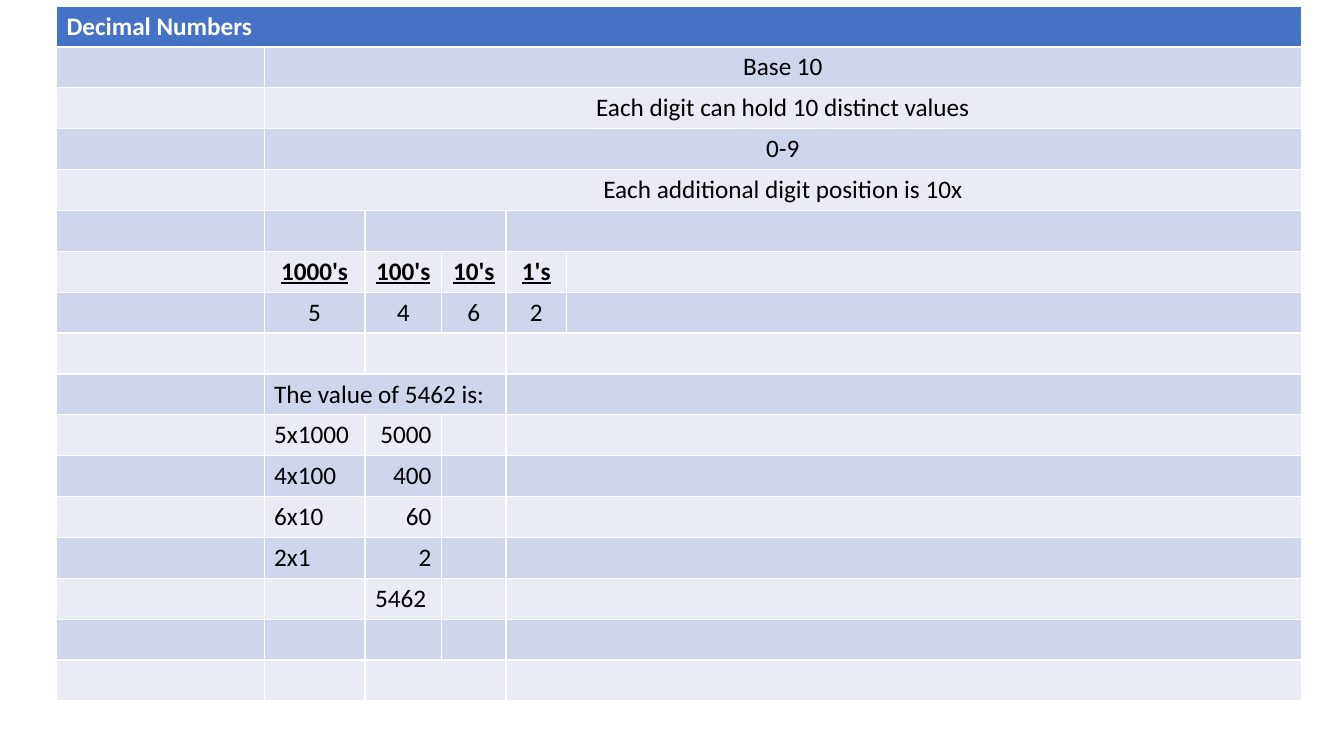
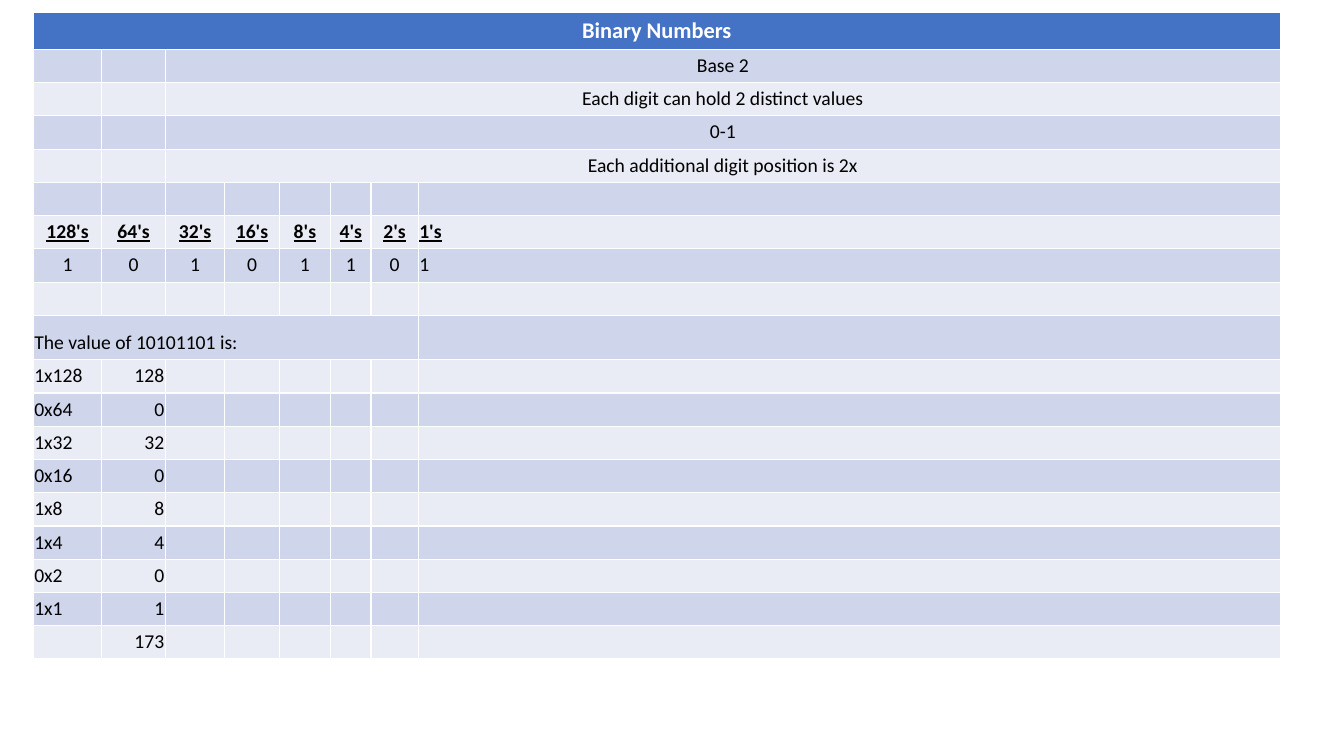
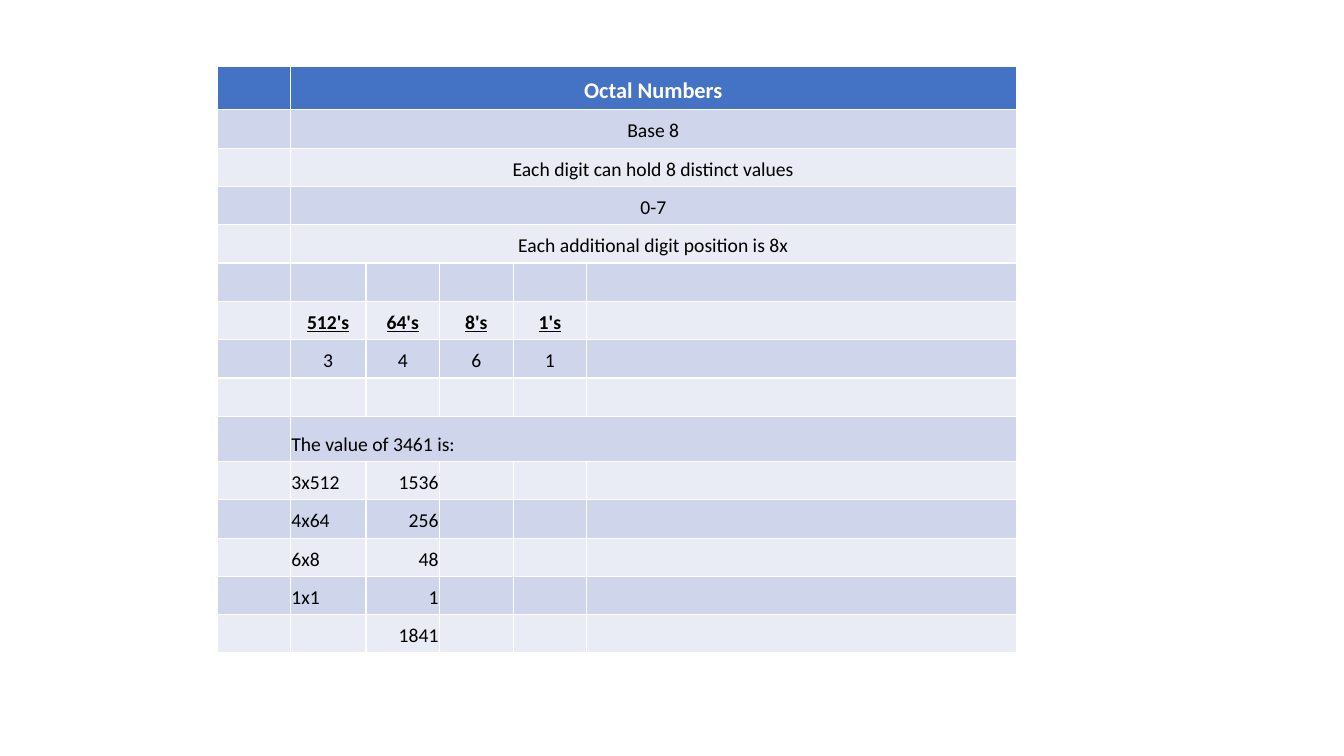
import dataclasses

import pptx
import pptx.dml.color
import pptx.enum.text
import pptx.oxml.ns
import pptx.util
from lxml import etree

Inches = pptx.util.Inches
ALIGN = pptx.enum.text.PP_ALIGN
ANCHOR = pptx.enum.text.MSO_ANCHOR

FACT_ROWS = range(1, 5)
PLACE_ROW, DIGIT_ROW, STATEMENT_ROW, FIRST_PRODUCT_ROW = 6, 7, 9, 10


@dataclasses.dataclass(frozen=True)
class Theme:
    """Colours and font shared by all tables."""
    font: str = "Calibri"
    header: str = "4472C4"
    bands: tuple = ("E9EBF5", "CFD5EA")
    header_text: str = "FFFFFF"
    body_text: str = "000000"


@dataclasses.dataclass(frozen=True)
class CellStyle:
    """Type sizes, insets and anchoring of one table."""
    title_size: int
    body_size: int
    insets: dict
    anchor: ANCHOR


THEME = Theme()
ROOMY = CellStyle(18, 18, {"margin_left": 0.1, "margin_top": 0.05,
                           "margin_right": 0.1, "margin_bottom": 0.05}, ANCHOR.MIDDLE)
TIGHT = CellStyle(16, 14, {"margin_left": 0.01, "margin_top": 0.01,
                           "margin_right": 0.01, "margin_bottom": 0.05}, ANCHOR.BOTTOM)


@dataclasses.dataclass(frozen=True)
class NumberTable:
    """A number system, its example digits and the table layout."""
    title: str
    base: int
    digits: str
    position: tuple
    widths: tuple
    title_height: float
    row_height: float
    statement_height: float
    style: CellStyle
    merges: dict
    title_column: int = 0
    fact_column: int = 1
    digit_column: int = 1
    spare_rows: int = 0
    title_align: ALIGN = ALIGN.CENTER
    total_align: ALIGN = ALIGN.RIGHT

    def row_heights(self):
        """Return the height of every row."""
        count = FIRST_PRODUCT_ROW + len(self.digits) + 1 + self.spare_rows
        special = {0: self.title_height, STATEMENT_ROW: self.statement_height}
        return [special.get(row, self.row_height) for row in range(count)]


def set_attributes(target, values):
    """Set each named attribute on the target."""
    for name, value in values.items():
        setattr(target, name, value)


def format_cell(cell, row, style):
    """Give a cell its band fill, insets, anchor and empty-line size."""
    cell.fill.solid()
    color = THEME.bands[row % 2] if row else THEME.header
    cell.fill.fore_color.rgb = pptx.dml.color.RGBColor.from_string(color)
    set_attributes(cell, {name: Inches(value) for name, value in style.insets.items()})
    cell.vertical_anchor = style.anchor
    size = style.body_size if row else style.title_size
    paragraph = cell.text_frame.paragraphs[0]
    etree.SubElement(paragraph._p, pptx.oxml.ns.qn("a:endParaRPr"), sz=str(size * 100))


def write_cell(table, row, column, text, style, align=ALIGN.LEFT):
    """Write formatted text into one cell."""
    paragraph = table.cell(row, column).text_frame.paragraphs[0]
    paragraph.alignment = align
    run = paragraph.add_run()
    run.text = text
    set_attributes(run.font, {
        "name": THEME.font,
        "size": pptx.util.Pt(style.body_size if row else style.title_size),
        "bold": row in (0, PLACE_ROW),
        "underline": row == PLACE_ROW,
    })
    color = THEME.body_text if row else THEME.header_text
    run.font.color.rgb = pptx.dml.color.RGBColor.from_string(color)


def add_grid(slide, spec):
    """Add the banded, merged table without text."""
    heights = spec.row_heights()
    left, top = spec.position
    frame = slide.shapes.add_table(
        len(heights), len(spec.widths), Inches(left), Inches(top),
        Inches(sum(spec.widths)), Inches(sum(heights)))
    table = frame.table
    for column, width in zip(table.columns, spec.widths):
        column.width = Inches(width)
    for row, height in enumerate(heights):
        table.rows[row].height = Inches(height)
        for cell in table.rows[row].cells:
            format_cell(cell, row, spec.style)
        for first, last in spec.merges.get(row, ()):
            table.cell(row, first).merge(table.cell(row, last))
    return table


def add_number_slide(presentation, spec):
    """Add a slide that explains one number system."""
    slide = presentation.slides.add_slide(presentation.slide_layouts[6])
    table = add_grid(slide, spec)
    style, base, start = spec.style, spec.base, spec.digit_column

    write_cell(table, 0, spec.title_column, spec.title, style, spec.title_align)
    facts = (f"Base {base}", f"Each digit can hold {base} distinct values",
             f"0-{base - 1}", f"Each additional digit position is {base}x")
    for row, fact in zip(FACT_ROWS, facts):
        write_cell(table, row, spec.fact_column, fact, style, ALIGN.CENTER)

    write_cell(table, STATEMENT_ROW, start, f"The value of {spec.digits} is:", style)
    for index, digit in enumerate(spec.digits):
        place = base ** (len(spec.digits) - 1 - index)
        column = start + index
        align = ALIGN.LEFT if column == len(spec.widths) - 1 else ALIGN.CENTER
        write_cell(table, PLACE_ROW, column, f"{place}'s", style, align)
        write_cell(table, DIGIT_ROW, column, digit, style, align)
        row = FIRST_PRODUCT_ROW + index
        write_cell(table, row, start, f"{digit}x{place}", style)
        write_cell(table, row, start + 1, str(int(digit) * place), style, ALIGN.RIGHT)
    total = str(int(spec.digits, base))
    total_row = FIRST_PRODUCT_ROW + len(spec.digits)
    write_cell(table, total_row, start + 1, total, style, spec.total_align)


def row_merges(title, fact, statement):
    """Return the column merges of the title, fact and statement rows."""
    return {0: [title], **{row: [fact] for row in FACT_ROWS}, STATEMENT_ROW: statement}


def main():
    """Build the three number system slides."""
    presentation = pptx.Presentation()
    set_attributes(presentation, {"slide_width": Inches(13.33), "slide_height": Inches(7.5)})

    decimal_merges = {
        **row_merges((0, 5), (1, 5), [(1, 3), (4, 5)]),
        **{row: [(2, 3), (4, 5)] for row in (5, 8, 16)},
        **{row: [(4, 5)] for row in range(FIRST_PRODUCT_ROW, 16)},
    }
    number_tables = (
        NumberTable(
            "Decimal Numbers", 10, "5462", (0.56, 0.06),
            (2.06, 1, 0.76, 0.64, 0.6, 7.29), 0.4, 0.4, 0.4, ROOMY, decimal_merges,
            spare_rows=2, title_align=ALIGN.LEFT, total_align=ALIGN.LEFT),
        NumberTable(
            "Binary Numbers", 2, "10101101", (0.33, 0.12),
            (0.68, 0.63, 0.59, 0.54, 0.51, 0.4, 0.47, 8.55), 0.37, 0.33, 0.44, TIGHT,
            row_merges((0, 7), (2, 7), [(0, 6)]), fact_column=2, digit_column=0),
        NumberTable(
            "Octal Numbers", 8, "3461", (2.16, 0.66),
            (0.72, 0.75, 0.73, 0.73, 0.73, 4.26), 0.43, 0.38, 0.45, TIGHT,
            row_merges((1, 5), (1, 5), [(1, 5)]), title_column=1),
    )
    for spec in number_tables:
        add_number_slide(presentation, spec)
    presentation.save("out.pptx")


main()
